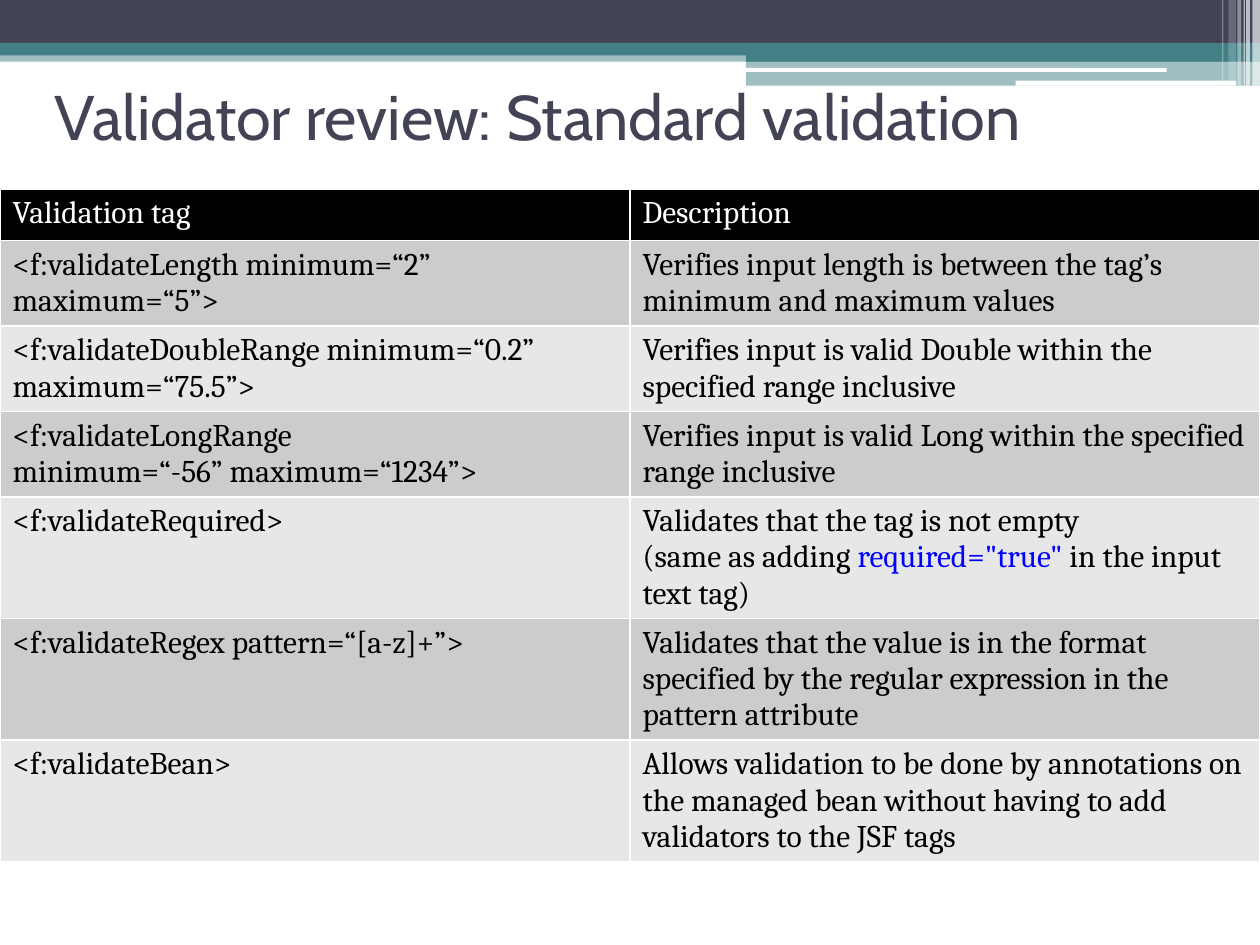
from lxml import etree
from pptx import Presentation
from pptx.dml.color import RGBColor
from pptx.enum.shapes import MSO_SHAPE
from pptx.enum.text import MSO_ANCHOR, PP_ALIGN
from pptx.oxml.ns import qn
from pptx.util import Inches, Pt

RECT, ROUND = MSO_SHAPE.RECTANGLE, MSO_SHAPE.ROUNDED_RECTANGLE
MIDDLE, LEFT = MSO_ANCHOR.MIDDLE, PP_ALIGN.LEFT
TITLE_ONLY = 5

NAVY, TEAL, WHITE, BLACK, BLUE = "424456", "438086", "FFFFFF", "000000", "0000FF"
ROW_FILLS = ("CCCCCC", "E7E7E7")
ROW_HEIGHT = 0.41

# left, top, width, height, colour, opacity in percent, outline
BANDS = [
    (0, 0.4, 10, 0.09, TEAL, 50, RECT),
    (0, 0, 10, 0.34, NAVY, 100, RECT),
    (0, 0.34, 10, 0.1, TEAL, 100, RECT),
    (5.92, 0.39, 4.08, 0.1, TEAL, 100, RECT),
    (5.92, 0.48, 4.08, 0.2, TEAL, 50, RECT),
    (5.91, 0.54, 3.35, 0.03, WHITE, 100, ROUND),
    (8.06, 0.64, 1.75, 0.04, WHITE, 100, ROUND),
]
# left, width, height, opacity in percent
STRIPES = [
    (9.94, 0.06, 0.68, 65),
    (9.89, 0.03, 0.68, 65),
    (9.87, 0.01, 0.68, 60),
    (9.82, 0.03, 0.68, 40),
    (9.75, 0.06, 0.64, 20),
    (9.7, 0.01, 0.64, 30),
]

# A cell is a list of paragraphs; a paragraph is a list of (text, colour) runs.
HEADER = [[[(label, WHITE)]] for label in ("Validation tag", "Description")]


def plain(*lines):
    return [[(line, BLACK)] for line in lines]


VALIDATORS = [
    (plain("<f:validateLength minimum=“2” maximum=“5”>"),
     plain("Verifies input length is between the tag’s minimum and maximum values")),
    (plain("<f:validateDoubleRange minimum=“0.2” maximum=“75.5”>"),
     plain("Verifies input is valid Double within the specified range inclusive")),
    (plain("<f:validateLongRange", "minimum=“-56” maximum=“1234”>"),
     plain("Verifies input is valid Long within the specified range inclusive")),
    (plain("<f:validateRequired>"),
     plain("Validates that the tag is not empty")
     + [[("(same as adding ", BLACK), ('required="true"', BLUE),
         (" in the input text tag)", BLACK)]]),
    (plain("<f:validateRegex pattern=“[a-z]+”>"),
     plain("Validates that the value is in the format specified by the regular "
           "expression in the pattern attribute")),
    (plain("<f:validateBean>"),
     plain("Allows validation to be done by annotations on the managed bean "
           "without having to add validators to the JSF tags")),
]


def rgb(value):
    return RGBColor.from_string(value)


class SlideBuilder:
    title_format = {"name": "Cabin", "size": Pt(36), "bold": False}
    cell_format = {"name": "Cambria", "size": Pt(18), "bold": False}

    def __init__(self, slide):
        self.slide = slide

    def style(self, font, values, colour):
        for attribute, value in values.items():
            setattr(font, attribute, value)
        font.color.rgb = rgb(colour)

    def band(self, left, top, width, height, colour, opacity=100, outline=RECT):
        band = self.slide.shapes.add_shape(
            outline, Inches(left), Inches(top), Inches(width), Inches(height))
        band.shadow.inherit = False
        band.line.fill.background()
        band.fill.solid()
        band.fill.fore_color.rgb = rgb(colour)
        if opacity < 100:
            tint = band._element.spPr.find(".//" + qn("a:srgbClr"))
            etree.SubElement(tint, qn("a:alpha"), val=str(opacity * 1000))

    def title(self, text, left, top, width, height):
        title = self.slide.shapes.title
        place = {"left": left, "top": top, "width": width, "height": height}
        for attribute, value in place.items():
            setattr(title, attribute, Inches(value))
        frame = title.text_frame
        frame.text = text
        frame.vertical_anchor = MIDDLE
        frame.paragraphs[0].alignment = LEFT
        self.style(frame.paragraphs[0].runs[0].font, self.title_format, NAVY)
        # The title lies in front of the bands.
        self.slide.shapes._spTree.append(title._element)

    def border(self, cell, colour, points):
        for side in ("lnL", "lnR", "lnT", "lnB"):
            line = etree.SubElement(
                cell._tc.get_or_add_tcPr(), qn("a:" + side), w=str(Pt(points)))
            fill = etree.SubElement(line, qn("a:solidFill"))
            etree.SubElement(fill, qn("a:srgbClr"), val=colour)

    def cell(self, cell, paragraphs, fill):
        self.border(cell, WHITE, 1)
        cell.fill.solid()
        cell.fill.fore_color.rgb = rgb(fill)
        frame = cell.text_frame
        for number, runs in enumerate(paragraphs):
            paragraph = frame.add_paragraph() if number else frame.paragraphs[0]
            for text, colour in runs:
                run = paragraph.add_run()
                run.text = text
                self.style(run.font, self.cell_format, colour)

    def table(self, rows, left, top, width):
        table = self.slide.shapes.add_table(
            len(rows), len(rows[0]), Inches(left), Inches(top),
            Inches(width), Inches(ROW_HEIGHT * len(rows))).table
        for row, contents in enumerate(rows):
            fill = ROW_FILLS[(row - 1) % 2] if row else BLACK
            for column, paragraphs in enumerate(contents):
                self.cell(table.cell(row, column), paragraphs, fill)


def main():
    deck = Presentation()
    deck.slide_width, deck.slide_height = Inches(10), Inches(7.5)
    builder = SlideBuilder(deck.slides.add_slide(deck.slide_layouts[TITLE_ONLY]))
    for band in BANDS:
        builder.band(*band)
    for left, width, height, opacity in STRIPES:
        builder.band(left, 0, width, height, WHITE, opacity)
    builder.title("Validator review: Standard validation", 0.33, 0.33, 9, 1.17)
    builder.table([HEADER, *VALIDATORS], 0, 1.5, 10)
    deck.save("out.pptx")


if __name__ == "__main__":
    main()
